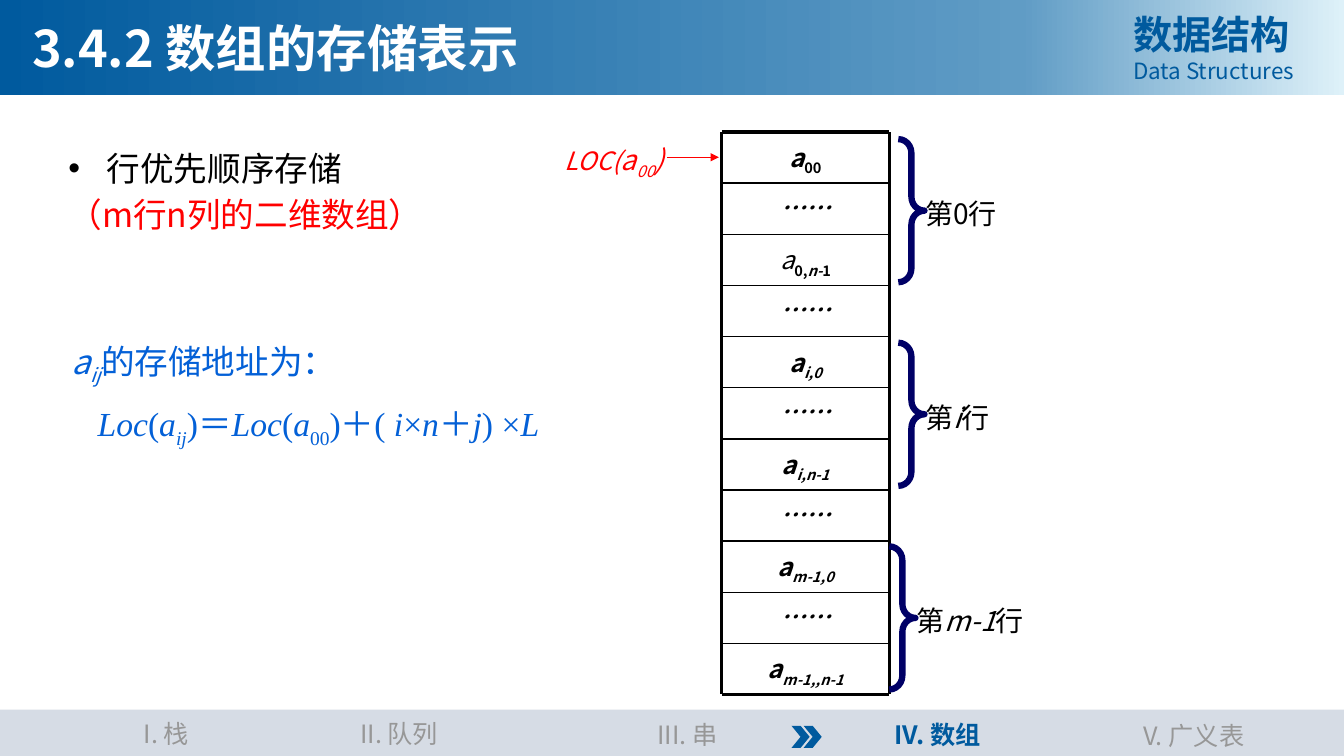
from lxml.etree import SubElement
from pptx import Presentation
from pptx.dml.color import RGBColor
from pptx.enum.shapes import MSO_CONNECTOR, MSO_SHAPE
from pptx.enum.text import PP_ALIGN
from pptx.oxml.ns import qn
from pptx.util import Inches, Pt

SANS, SERIF = "Noto Sans CJK SC", "Times New Roman"
NAVY, BLUE, RED, GREY = "005A9E", "0360D7", "FF0000", "979797"
BLACK, WHITE = "000000", "FFFFFF"


def tint(code):
    return RGBColor.from_string(code)


class Deck:
    """Holds the style and the current slide, and draws each kind of element."""

    def __init__(self):
        self.show = Presentation()
        self.show.slide_width = Inches(13.33)
        self.show.slide_height = Inches(7.5)
        self.slide = self.show.slides.add_slide(self.show.slide_layouts[6])
        self.shapes = self.slide.shapes

    def runs(self, para, parts, size, color, face=SANS):
        for words, marks in parts:
            run = para.add_run()
            run.text = words
            font = run.font
            font.size, font.name = Pt(size), face
            font.bold, font.italic = "b" in marks, "i" in marks
            font.color.rgb = tint(color)
            props = run._r.get_or_add_rPr()
            SubElement(props, qn("a:ea")).set("typeface", SANS)
            if "s" in marks:
                props.set("baseline", "-25000")

    def text(self, box, lines, align=PP_ALIGN.LEFT, space=1.0, gap=0):
        frame = self.shapes.add_textbox(*map(Inches, box)).text_frame
        frame.word_wrap = True
        for num, line in enumerate(lines):
            para = frame.add_paragraph() if num else frame.paragraphs[0]
            para.alignment, para.line_spacing = align, space
            if num:
                para.space_before = Pt(gap)
            self.runs(para, *line)
        return frame

    def indent(self, para, left, first=0, mark=None):
        props = para._p.get_or_add_pPr()
        props.set("marL", str(Inches(left)))
        props.set("indent", str(Inches(first)))
        if mark:
            SubElement(props, qn("a:buFont")).set("typeface", "Arial")
            SubElement(props, qn("a:buChar")).set("char", mark)

    def shape(self, kind, box, fill=None, line=None, width=1):
        item = self.shapes.add_shape(kind, *map(Inches, box))
        item.shadow.inherit = False
        if fill:
            item.fill.solid()
            item.fill.fore_color.rgb = tint(fill)
        else:
            item.fill.background()
        if line:
            item.line.color.rgb = tint(line)
            item.line.width = Pt(width)
        else:
            item.line.fill.background()
        return item

    def fade(self, box, stops):
        item = self.shape(MSO_SHAPE.RECTANGLE, box, WHITE)
        item.fill.gradient()
        item.fill.gradient_angle = 0
        group = item._element.spPr.find(".//" + qn("a:gsLst"))
        for old in list(group):
            group.remove(old)
        for place, code in stops:
            stop = SubElement(group, qn("a:gs"), pos=str(place * 1000))
            SubElement(stop, qn("a:srgbClr"), val=code)

    def line(self, start, end, color, width, arrow=False):
        ends = map(Inches, start + end)
        item = self.shapes.add_connector(MSO_CONNECTOR.STRAIGHT, *ends)
        item.line.color.rgb = tint(color)
        item.line.width = Pt(width)
        props = item._element.spPr
        if arrow:
            SubElement(props.find(qn("a:ln")), qn("a:tailEnd"),
                       type="triangle")
        SubElement(props, qn("a:effectLst"))

    def column(self, box, items):
        left, top, width, height = box
        right, base = left + width, top + height
        step = height / len(items)
        for num, parts in enumerate(items):
            cell = self.text((left, top + num * step, width, step),
                             [(parts, 18, BLACK)], PP_ALIGN.CENTER, 1.3)
            cell.margin_top = cell.margin_bottom = 0
        for num in range(len(items) + 1):
            level = top + num * step
            edge = num in (0, len(items))
            self.line((left, level), (right, level), BLACK,
                      2.25 if edge else 1)
        for side in (left, right):
            self.line((side, top), (side, base), BLACK, 2.25)


def main():
    deck = Deck()
    deck.fade((0, 0, 13.33, 0.94),
              [(0, NAVY), (76, "609CC5"), (100, "DEF1F9")])
    deck.text((11.14, 0.05, 1.91, 0.84),
              [([("数据结构", "b")], 28, NAVY),
               ([("Data Structures", "")], 16, NAVY)])
    deck.text((0.22, 0.12, 8.75, 1.12),
              [([("3.4.2 数组的存储表示", "b")], 36, WHITE)])

    deck.shape(MSO_SHAPE.RECTANGLE, (0, 7.04, 13.33, 0.46), "D6DCE5")
    tabs = [("I. 栈", 1.65, 7.08), ("II. 队列", 3.96, 7.08),
            ("III. 串", 6.82, 7.09), ("IV. 数组", 9.3, 7.09),
            ("V. 广义表", 11.84, 7.1)]
    for name, mid, top in tabs:
        now = name.startswith("IV")
        deck.text((mid - 0.95, top, 1.9, 0.4),
                  [([(name, "b" if now else "")], 18, NAVY if now else GREY)],
                  PP_ALIGN.CENTER)
    for left in (7.85, 7.97):
        deck.shape(MSO_SHAPE.CHEVRON, (left, 7.2, 0.18, 0.22), NAVY)

    body = deck.text((0.58, 1.42, 9.25, 3.33),
                     [([("行优先顺序存储", "")], 24, BLACK),
                      ([("（m行n列的二维数组）", "")], 24, RED)], gap=4)
    deck.indent(body.paragraphs[0], 0.38, -0.38, "•")

    rule = [("Loc", "i"), ("(", ""), ("a", "i"), ("ij", "is"), (")＝", ""),
            ("Loc", "i"), ("(", ""), ("a", "i"), ("00", "s"), (")＋( ", ""),
            ("i", "i"), ("×", ""), ("n", "i"), ("＋", ""), ("j", "i"),
            (") ×", ""), ("L", "i")]
    sums = deck.text((0.5, 3.33, 6.27, 1.11),
                     [([("a", "i"), ("ij", "is"), ("的存储地址为：", "")],
                       24, BLUE),
                      (rule, 24, BLUE, SERIF)], gap=12)
    for para, left in zip(sums.paragraphs, (0.11, 0.37)):
        deck.indent(para, left)

    dots = [("……", "bi")]

    def item(sub):
        return [("a", "bi"), (sub, "bis")]

    deck.column((7.16, 1.31, 1.66, 5.58), [
        [("a", "bi"), ("00", "bs")], dots,
        [("a", "i"), ("0,", "bs"), ("n-", "bis"), ("1", "bs")], dots,
        item("i,0"), dots, item("i,n-1"), dots,
        item("m-1,0"), dots, item("m-1,,n-1")])

    rows = [(8.91, [("第0行", "")]),
            (8.91, [("第", ""), ("i", "i"), ("行", "")]),
            (8.82, [("第", ""), ("m-1", "i"), ("行", "")])]
    for num, (left, parts) in enumerate(rows):
        top = 1.38 + 2.02 * num
        brace = deck.shape(MSO_SHAPE.RIGHT_BRACE, (left, top, 0.26, 1.42),
                           line="000066", width=4.5)
        brace.adjustments[0] = 0.53
        deck.text((left + 0.17, top + 0.52, 1.57, 0.44), [(parts, 20, BLACK)])

    spot = deck.text((5.5, 1.36, 1.49, 0.44), [([("LOC(", "i")], 18, RED)])
    deck.runs(spot.paragraphs[0],
              [("a", "i"), ("00", "is"), (")", "i")], 20, RED)
    deck.line((6.62, 1.56), (7.13, 1.56), RED, 0.75, arrow=True)
    deck.show.save("out.pptx")


if __name__ == "__main__":
    main()
